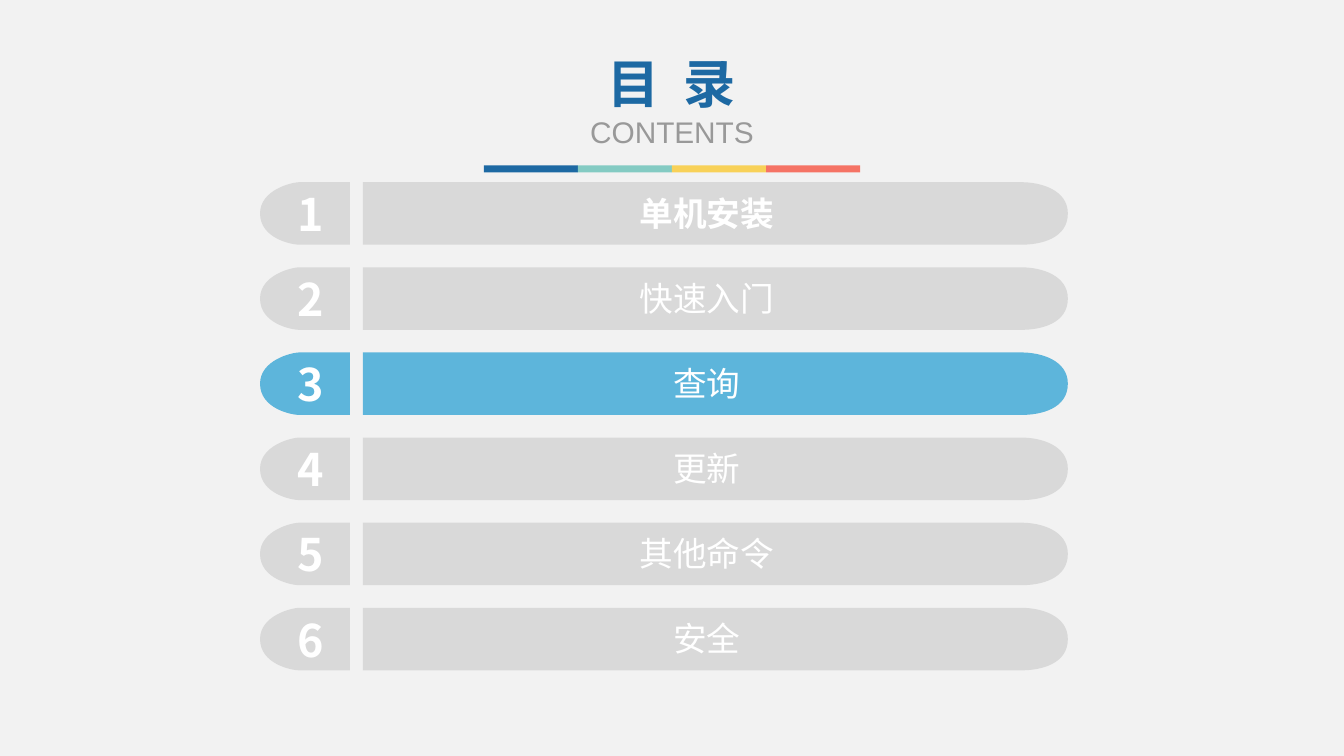
"""Build a contents slide with six numbered sections, the third one highlighted."""
from dataclasses import dataclass

from lxml.etree import SubElement
from pptx import Presentation
from pptx.dml.color import RGBColor
from pptx.enum.shapes import MSO_SHAPE as Preset
from pptx.enum.text import MSO_ANCHOR as Anchor, PP_ALIGN as Align
from pptx.oxml.ns import qn
from pptx.util import Inches, Pt


@dataclass(frozen=True)
class Theme:
    """Hold the colours, fonts and type sizes."""
    background: str = "F2F2F2"
    bar: str = "D9D9D9"
    active: str = "5DB5DB"
    title: str = "1D69A3"
    subtitle: str = "999999"
    light: str = "FFFFFF"
    stripes: tuple = ("1D69A3", "84CBC3", "F8D158", "F57365")
    cjk_font: str = "Noto Sans CJK SC"
    title_font: str = "Arial Narrow"
    subtitle_font: str = "Arial"
    title_size: float = 37.3
    subtitle_size: float = 21.3
    number_size: float = 32
    label_size: float = 24


class SlideBuilder:
    """Draw styled elements, placed in percent of the slide's size."""

    def __init__(self, presentation, theme):
        """Add a blank slide with the theme's background."""
        self.theme = theme
        self.width = presentation.slide_width
        self.height = presentation.slide_height
        self.slide = presentation.slides.add_slide(presentation.slide_layouts[6])
        self.paint(self.slide.background.fill, theme.background)

    def place(self, x, y):
        """Convert percentages to slide lengths."""
        return round(self.width * x / 100), round(self.height * y / 100)

    def paint(self, fill, colour):
        """Apply a solid colour."""
        fill.solid()
        fill.fore_color.rgb = RGBColor.from_string(colour)

    def finish(self, shape, colour):
        """Give a shape a flat fill."""
        shape.shadow.inherit = False
        shape.line.fill.background()
        self.paint(shape.fill, colour)

    def rectangle(self, left, top, width, height, colour):
        """Draw a plain rectangle."""
        shape = self.slide.shapes.add_shape(
            Preset.RECTANGLE, *self.place(left, top), *self.place(width, height))
        self.finish(shape, colour)

    def capped_bar(self, flat, bend, tip, top, height, pull, colour):
        """Draw a bar that is flat on one side and rounded on the other."""
        bottom, middle = top + height, top + height / 2
        shoulder = bend + pull * (tip - bend)
        edge = [(flat, bottom), (bend, bottom)]
        cap = [(shoulder, bottom), (tip, bottom - height / 10), (tip, middle),
               (tip, top + height / 8), (shoulder, top), (bend, top)]
        outline = self.slide.shapes.build_freeform(*self.place(flat, top))
        outline.add_line_segments([self.place(*point) for point in edge + cap])
        shape = outline.convert_to_shape()
        self.round_cap(shape, len(edge))
        self.finish(shape, colour)

    def round_cap(self, shape, straight):
        """Turn the segments after the straight ones into cubic curves."""
        segments = list(shape._element.iter(qn("a:lnTo")))[straight:]
        for start in range(0, len(segments), 3):
            curve, *others = segments[start:start + 3]
            cubic = curve.getparent().makeelement(qn("a:cubicBezTo"))
            curve.addprevious(cubic)
            for segment in (curve, *others):
                cubic.append(segment[0])
                segment.getparent().remove(segment)

    def text(self, left, top, width, height, lines, anchor=Anchor.MIDDLE):
        """Write centred lines given as pairs of text and font format."""
        box = self.slide.shapes.add_textbox(
            *self.place(left, top), *self.place(width, height))
        frame_format = {"word_wrap": True, "vertical_anchor": anchor,
                        "margin_left": 0, "margin_right": 0,
                        "margin_top": 0, "margin_bottom": 0}
        for name, value in frame_format.items():
            setattr(box.text_frame, name, value)
        for index, (words, font_format) in enumerate(lines):
            paragraph = (box.text_frame.add_paragraph() if index
                         else box.text_frame.paragraphs[0])
            paragraph.alignment = Align.CENTER
            run = paragraph.add_run()
            run.text = words
            self.style(run.font, **font_format)

    def style(self, font, colour, **font_format):
        """Set font attributes, the colour and the East Asian typeface."""
        for name, value in font_format.items():
            setattr(font, name, value)
        self.paint(font.fill, colour)
        SubElement(font._element, qn("a:ea"), typeface=self.theme.cjk_font)


SECTIONS = [("单机安装", True), ("快速入门", False), ("查询", False),
            ("更新", False), ("其他命令", False), ("安全", False)]
ACTIVE_SECTION = 3
FIRST_ROW, ROW_PITCH, ROW_HEIGHT = 24.1, 11.26, 8.27
STRIPE_LEFT, STRIPE_WIDTH = 36, 7

theme = Theme()
presentation = Presentation()
presentation.slide_width, presentation.slide_height = Inches(13.33), Inches(7.5)
builder = SlideBuilder(presentation, theme)

for index, colour in enumerate(theme.stripes):
    builder.rectangle(STRIPE_LEFT + index * STRIPE_WIDTH, 21.87,
                      STRIPE_WIDTH, 0.93, colour)

title_format = {"name": theme.title_font, "size": Pt(theme.title_size),
                "bold": True, "colour": theme.title}
subtitle_format = {"name": theme.subtitle_font, "size": Pt(theme.subtitle_size),
                   "bold": False, "colour": theme.subtitle}
builder.text(41.9, 6.8, 16.2, 13.9, [("目  录", title_format),
                                     ("CONTENTS", subtitle_format)], Anchor.TOP)

for number, (label, bold) in enumerate(SECTIONS, 1):
    top = FIRST_ROW + (number - 1) * ROW_PITCH
    colour = theme.active if number == ACTIVE_SECTION else theme.bar
    shared = {"name": theme.cjk_font, "colour": theme.light}
    number_format = {**shared, "size": Pt(theme.number_size), "bold": True}
    label_format = {**shared, "size": Pt(theme.label_size), "bold": bold}
    builder.capped_bar(27, 76, 79.45, top, ROW_HEIGHT, 0.42, colour)
    builder.capped_bar(26.03, 22.28, 19.35, top, ROW_HEIGHT, 0.2, colour)
    builder.text(21.3, top - 0.1, 3.6, 8.5, [(str(number), number_format)])
    builder.text(27.35, top + 0.7, 50.5, 6.7, [(label, label_format)])

presentation.save("out.pptx")
